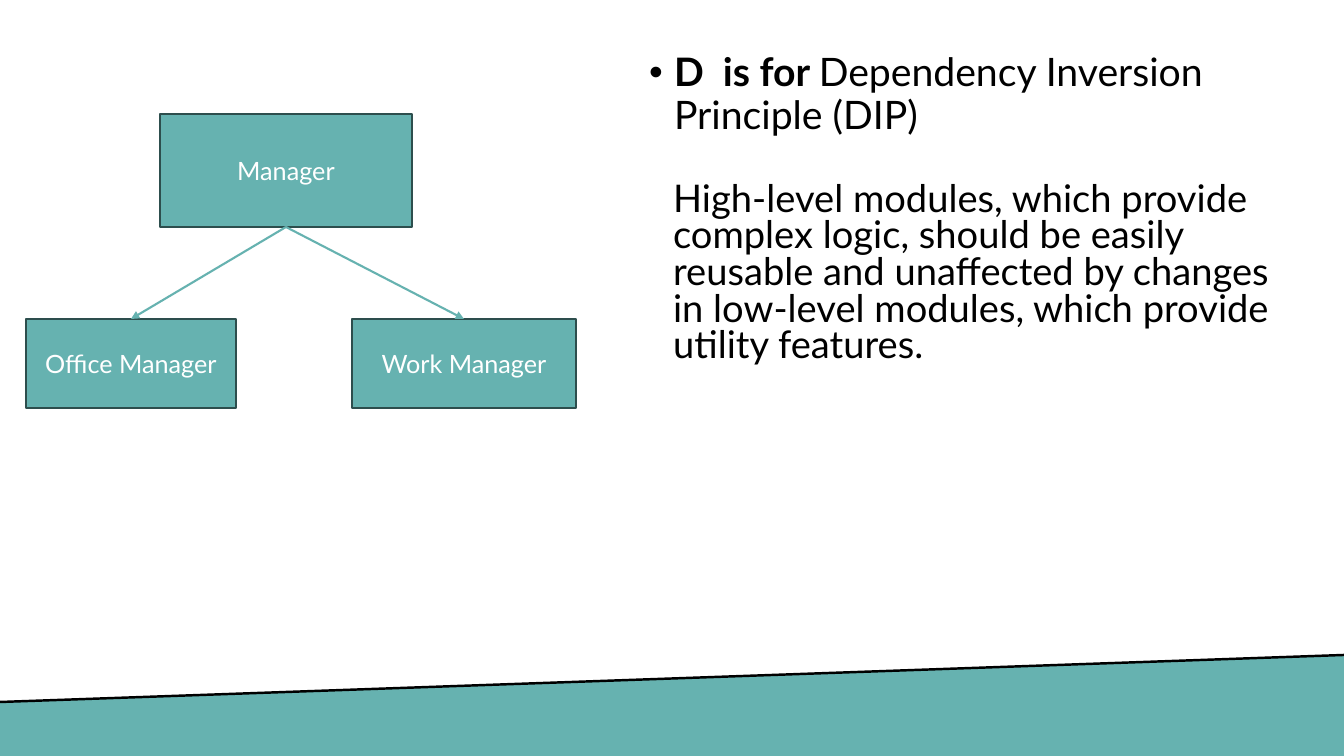
"""Build a slide on the Dependency Inversion Principle with a small class diagram."""
from dataclasses import dataclass

from lxml.etree import SubElement
from pptx import Presentation
from pptx.dml.color import RGBColor
from pptx.enum.shapes import MSO_CONNECTOR, MSO_SHAPE
from pptx.enum.text import MSO_ANCHOR, MSO_AUTO_SIZE, PP_ALIGN
from pptx.oxml.ns import qn
from pptx.util import Pt

PX = 914400 / 100.8


@dataclass(frozen=True)
class Theme:
    font: str = "Lato"
    teal: RGBColor = RGBColor(0x66, 0xB2, 0xB0)
    outline: RGBColor = RGBColor(0x2D, 0x4E, 0x4D)
    black: RGBColor = RGBColor(0, 0, 0)
    white: RGBColor = RGBColor(255, 255, 255)
    heading: float = 28
    body: float = 27.2
    label: float = 18


def px(*lengths):
    return [round(length * PX) for length in lengths]


def add_line(ends, color, width):
    line = page.shapes.add_connector(MSO_CONNECTOR.STRAIGHT, *px(*ends))
    line.line.color.rgb = color
    line.line.width = Pt(width)
    SubElement(line._element.spPr, qn("a:effectLst"))
    return line


theme = Theme()
deck = Presentation()
deck.slide_width, deck.slide_height = px(1344, 756)
page = deck.slides.add_slide(deck.slide_layouts[1])

outline = page.shapes.build_freeform(0, 702, scale=PX)
outline.add_line_segments([(1344, 655), (1344, 756), (0, 756)])
band = outline.convert_to_shape()
band.shadow.inherit = False
band.fill.solid()
band.fill.fore_color.rgb = theme.teal
band.line.fill.background()
add_line((0, 702, 1344, 655), theme.black, 1.75)

texts = [
    (page.shapes.title, (639, 48, 625, 183), theme.heading, 0.9, 25, "•",
     [("D  is for ", True), ("Dependency Inversion Principle (DIP)", False)]),
    (page.placeholders[1], (663, 178, 625, 193), theme.body, 0.8, 0, None,
     [("High-level modules, which provide complex logic, should be easily reusable "
       "and unaffected by changes in low-level modules, which provide utility features.", False)]),
]
for box, place, size, spacing, indent, bullet, spans in texts:
    box.left, box.top, box.width, box.height = px(*place)
    frame = box.text_frame
    frame.auto_size = MSO_AUTO_SIZE.NONE
    frame.word_wrap = True
    frame.vertical_anchor = MSO_ANCHOR.TOP
    para = frame.paragraphs[0]
    para.alignment = PP_ALIGN.LEFT
    para.line_spacing = spacing
    para.space_before = Pt(10)
    properties = para._p.get_or_add_pPr()
    margin, = px(indent)
    properties.set("marL", str(margin))
    properties.set("indent", str(-margin))
    if bullet:
        SubElement(properties, qn("a:buFont"), typeface="Arial")
        SubElement(properties, qn("a:buChar"), char=bullet)
    else:
        SubElement(properties, qn("a:buNone"))
    for words, bold in spans:
        span = para.add_run()
        span.text = words
        span.font.name = theme.font
        span.font.size = Pt(size)
        span.font.bold = bold
        span.font.color.rgb = theme.black

nodes = {}
for name, place in [
    ("Manager", (160, 114, 252, 113)),
    ("Office Manager", (26, 319, 210, 89)),
    ("Work Manager", (352, 319, 224, 89)),
]:
    node = page.shapes.add_shape(MSO_SHAPE.RECTANGLE, *px(*place))
    node.shadow.inherit = False
    node.fill.solid()
    node.fill.fore_color.rgb = theme.teal
    node.line.color.rgb = theme.outline
    node.line.width = Pt(1)
    node.text_frame.text = name
    node.text_frame.word_wrap = True
    node.text_frame.vertical_anchor = MSO_ANCHOR.MIDDLE
    para = node.text_frame.paragraphs[0]
    para.alignment = PP_ALIGN.CENTER
    font = para.runs[0].font
    font.name = theme.font
    font.size = Pt(theme.label)
    font.color.rgb = theme.white
    nodes[name] = node

for name in ("Work Manager", "Office Manager"):
    arrow = add_line((0, 0, 0, 0), theme.teal, 1.5)
    arrow.begin_connect(nodes["Manager"], 2)
    arrow.end_connect(nodes[name], 0)
    SubElement(arrow.line._get_or_add_ln(), qn("a:tailEnd"), type="triangle")

deck.save("out.pptx")
